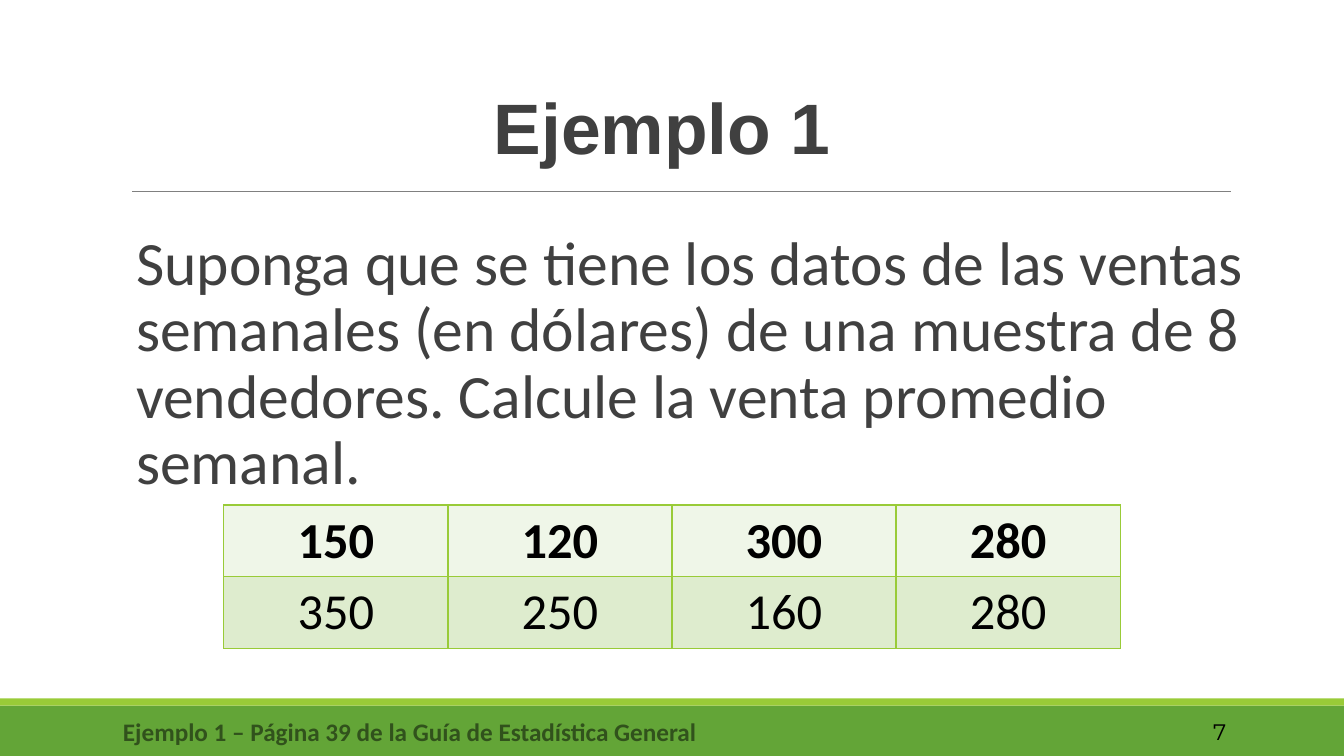
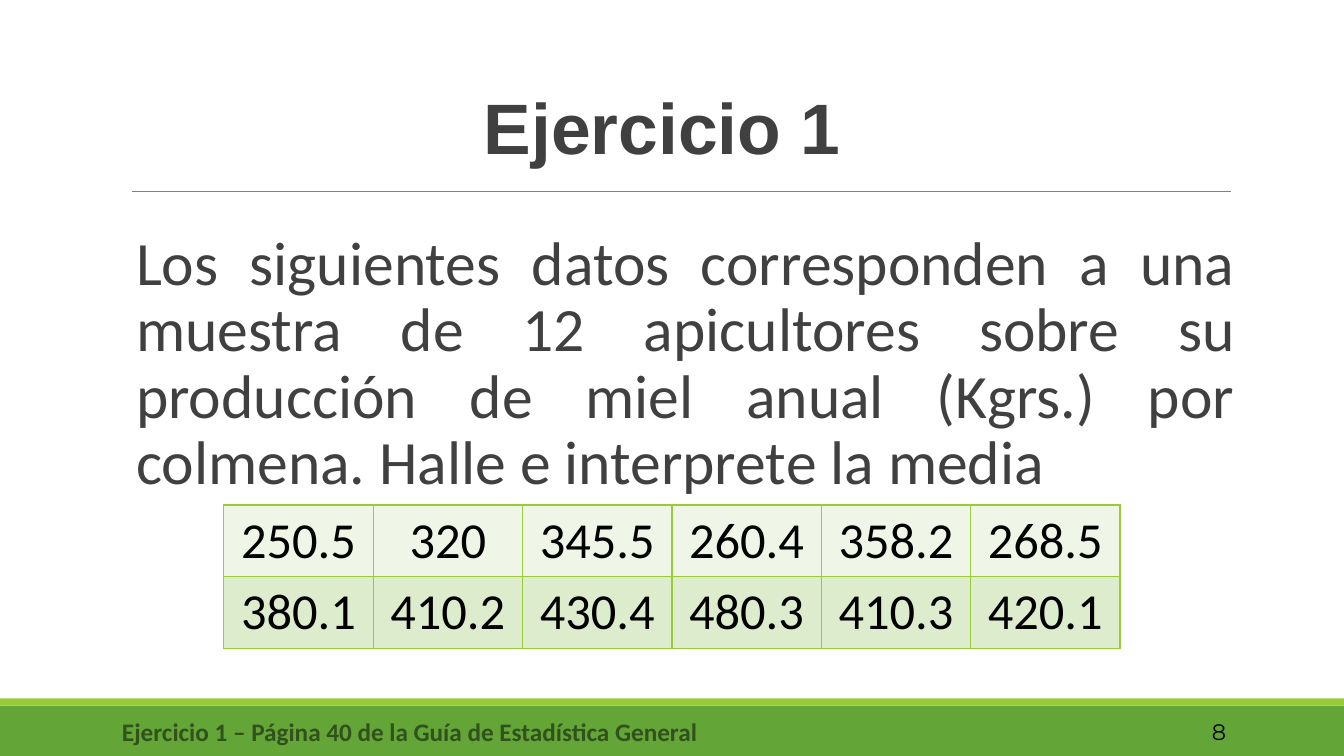
"""Builds two statistics slides, each with a statement and a small data table."""
from dataclasses import dataclass

from lxml.etree import SubElement
from pptx import Presentation
from pptx.dml.color import RGBColor
from pptx.enum.shapes import MSO_CONNECTOR, MSO_SHAPE
from pptx.enum.text import MSO_ANCHOR, MSO_AUTO_SIZE, PP_ALIGN
from pptx.oxml import parse_xml
from pptx.oxml.ns import nsdecls, qn
from pptx.util import Inches, Pt

LESSONS = [
    {
        "title": "Ejemplo 1",
        "statement": "Suponga que se tiene los datos de las ventas semanales (en dólares) "
                     "de una muestra de 8 vendedores. Calcule la venta promedio semanal.",
        "align": PP_ALIGN.LEFT,
        "statement_width": 11.1,
        "data": [("150", "120", "300", "280"), ("350", "250", "160", "280")],
        "bold_first_row": True,
        "source": "Ejemplo 1 – Página 39 de la Guía de Estadística General",
        "number": "7",
    },
    {
        "title": "Ejercicio 1",
        "statement": "Los siguientes datos corresponden a una muestra de 12 apicultores sobre su "
                     "producción de miel anual (Kgrs.) por colmena. Halle e interprete la media",
        "align": PP_ALIGN.JUSTIFY,
        "statement_width": 10.91,
        "data": [("250.5", "320", "345.5", "260.4", "358.2", "268.5"),
                 ("380.1", "410.2", "430.4", "480.3", "410.3", "420.1")],
        "bold_first_row": False,
        "source": "Ejercicio 1 – Página 40 de la Guía de Estadística General",
        "number": "8",
    },
]


@dataclass(frozen=True)
class Theme:
    """Colours, fonts and type sizes of the deck."""
    band: str = "63A537"
    accent: str = "99CB38"
    rule: str = "808080"
    text: str = "404040"
    black: str = "000000"
    source: str = "31521C"
    rows: tuple = ("EFF6E8", "DEECCE")
    title_font: str = "Arial"
    body_font: str = "Calibri"
    number_font: str = "Montserrat"
    title_size: int = 51
    body_size: int = 44
    table_size: int = 36
    source_size: int = 18
    number_size: int = 16


THEME = Theme()
WIDTH, HEIGHT = 13.33, 7.5
BANDS = [(7, 0.5, THEME.band), (6.93, 0.07, THEME.accent)]
RULE = (1.31, 1.9, 12.21, 1.9)
TITLE = (1.41, 0.86, 10.14, 0.89)
TABLE = (2.22, 5.01, 8.89, 1.42)
SOURCE = (1.07, 7.06, 5.99, 0.4)
NUMBER = (10.83, 7.06, 1.43, 0.4)


def inches(*lengths):
    """Converts lengths to EMU."""
    return [Inches(length) for length in lengths]


def write(frame, text, font, size, color, bold=False, align=PP_ALIGN.CENTER):
    """Writes one formatted run and returns its paragraph."""
    paragraph = frame.paragraphs[0]
    paragraph.alignment = align
    run = paragraph.add_run()
    run.text = text
    run.font.name, run.font.size, run.font.bold = font, Pt(size), bold
    run.font.color.rgb = RGBColor.from_string(color)
    return paragraph


def fill_placeholder(holder, box, inset, anchor, *text, **style):
    """Places a title or body placeholder and writes its text without a bullet."""
    holder.left, holder.top, holder.width, holder.height = inches(*box)
    frame = holder.text_frame
    frame.auto_size, frame.word_wrap = MSO_AUTO_SIZE.NONE, True
    frame.vertical_anchor = anchor
    frame.margin_left, frame.margin_right = Inches(inset), 0
    frame.margin_top = frame.margin_bottom = Inches(0.05)
    paragraph = write(frame, *text, **style)
    paragraph.line_spacing = 0.9
    paragraph.space_before, paragraph.space_after = Pt(12), Pt(2)
    properties = paragraph._p.get_or_add_pPr()
    properties.set("marL", "0")
    properties.set("indent", "0")
    SubElement(properties, qn("a:buNone"))


def add_label(slide, box, *text, **style):
    """Adds a line of text to the bottom band."""
    frame = slide.shapes.add_textbox(*inches(*box)).text_frame
    frame.word_wrap = True
    frame.vertical_anchor = MSO_ANCHOR.MIDDLE
    write(frame, *text, **style)


def add_data(slide, data, bold_first_row):
    """Adds the data table with equal columns."""
    table = slide.shapes.add_table(len(data), len(data[0]), *inches(*TABLE)).table
    table.first_row = table.horz_banding = False
    for column in table.columns:
        column.width = Inches(TABLE[2] / len(data[0]))
    for r, values in enumerate(data):
        for c, value in enumerate(values):
            cell = table.cell(r, c)
            write(cell.text_frame, value, THEME.body_font, THEME.table_size,
                  THEME.black, bold=bold_first_row and r == 0)
            properties = cell._tc.get_or_add_tcPr()
            for side in ("lnL", "lnR", "lnT", "lnB"):
                properties.append(parse_xml(
                    f'<a:{side} {nsdecls("a")} w="{Pt(1)}"><a:solidFill>'
                    f'<a:srgbClr val="{THEME.accent}"/></a:solidFill></a:{side}>'))
            cell.fill.solid()
            cell.fill.fore_color.rgb = RGBColor.from_string(THEME.rows[r])


def decorate(layout, slide):
    """Draws the bands and the title rule, then moves them to the layout."""
    for holder in list(layout.placeholders)[2:]:
        holder.element.getparent().remove(holder.element)
    decorations = []
    for top, height, color in BANDS:
        band = slide.shapes.add_shape(MSO_SHAPE.RECTANGLE, *inches(0, top, WIDTH, height))
        band.shadow.inherit = False
        band.fill.solid()
        band.fill.fore_color.rgb = RGBColor.from_string(color)
        band.line.fill.background()
        decorations.append(band)
    rule = slide.shapes.add_connector(MSO_CONNECTOR.STRAIGHT, *inches(*RULE))
    rule.line.color.rgb = RGBColor.from_string(THEME.rule)
    rule.line.width = Pt(0.5)
    SubElement(rule.element.spPr, qn("a:effectLst"))
    for decoration in decorations + [rule]:
        layout.shapes.element.append(decoration.element)


def add_lesson(deck, layout, lesson):
    """Adds one slide with its title, statement, data and footer."""
    slide = deck.slides.add_slide(layout)
    fill_placeholder(slide.shapes.title, TITLE, 0.18, MSO_ANCHOR.MIDDLE, lesson["title"],
                     THEME.title_font, THEME.title_size, THEME.text, bold=True)
    fill_placeholder(slide.placeholders[1], (1.35, 2.25, lesson["statement_width"], 4.33), 0,
                     MSO_ANCHOR.TOP, lesson["statement"], THEME.body_font, THEME.body_size,
                     THEME.text, align=lesson["align"])
    add_data(slide, lesson["data"], lesson["bold_first_row"])
    add_label(slide, SOURCE, lesson["source"], THEME.body_font, THEME.source_size,
              THEME.source, bold=True)
    add_label(slide, NUMBER, lesson["number"], THEME.number_font, THEME.number_size,
              THEME.black, align=PP_ALIGN.RIGHT)
    return slide


deck = Presentation()
deck.slide_width, deck.slide_height = inches(WIDTH, HEIGHT)
lesson_layout = deck.slide_layouts[1]
lesson_slides = [add_lesson(deck, lesson_layout, lesson) for lesson in LESSONS]
decorate(lesson_layout, lesson_slides[0])
deck.save("out.pptx")
